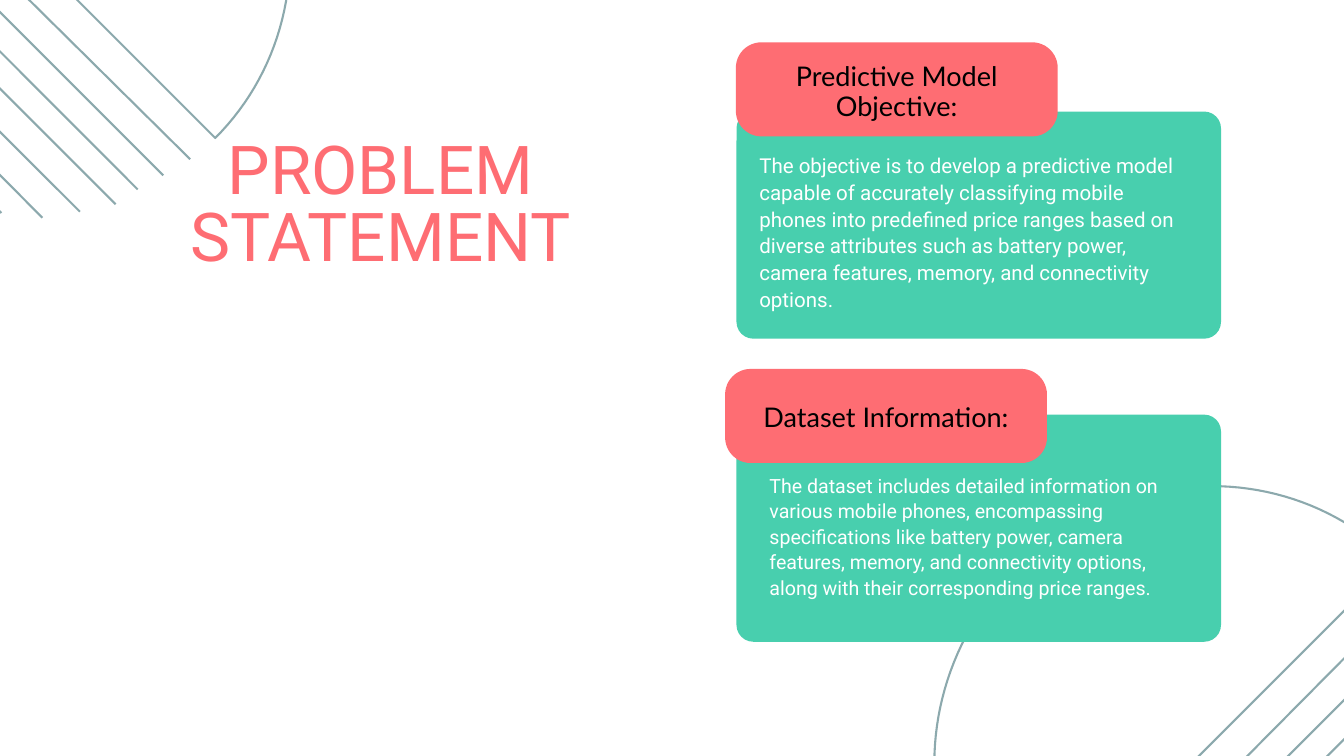
from math import cos, pi, radians, sin

from lxml import etree
from pptx import Presentation
from pptx.dml.color import RGBColor
from pptx.enum.shapes import MSO_CONNECTOR, MSO_SHAPE
from pptx.enum.text import MSO_ANCHOR, MSO_AUTO_SIZE, PP_ALIGN
from pptx.oxml.ns import qn
from pptx.util import Inches, Pt

CORAL = RGBColor(0xFE, 0x6D, 0x73)
GREEN = RGBColor(0x48, 0xCF, 0xAE)
GREY_BLUE = RGBColor(0x8C, 0xA9, 0xAD)
WHITE = RGBColor(0xFF, 0xFF, 0xFF)
BLACK = RGBColor(0x00, 0x00, 0x00)

STRAIGHT = MSO_CONNECTOR.STRAIGHT
ROUNDED = MSO_SHAPE.ROUNDED_RECTANGLE
TOP, MIDDLE = MSO_ANCHOR.TOP, MSO_ANCHOR.MIDDLE
LEFT, CENTER = PP_ALIGN.LEFT, PP_ALIGN.CENTER
NO_AUTOFIT = MSO_AUTO_SIZE.NONE

LINE_WIDTH = Pt(2.25)
CARD_LEFT, CARD_WIDTH, CARD_HEIGHT, CARD_RADIUS = 10.96, 7.21, 3.38, 0.25
TAB_WIDTH, TAB_HEIGHT, TAB_RADIUS = 4.79, 1.4, 0.38


def write_text(shape, text, font, size, spacing, color, align, anchor, margins):
    """Fill a shape with one paragraph; margins are left, top, right, bottom in inches."""
    frame = shape.text_frame
    frame.word_wrap = True
    frame.auto_size = NO_AUTOFIT
    frame.vertical_anchor = anchor
    (frame.margin_left, frame.margin_top,
     frame.margin_right, frame.margin_bottom) = [Inches(margin) for margin in margins]
    paragraph = frame.paragraphs[0]
    paragraph.alignment = align
    paragraph.line_spacing = Pt(spacing)
    run = paragraph.add_run()
    run.text = text
    run.font.name = font
    run.font.size = Pt(size)
    run.font.color.rgb = color


def add_rounded_box(left, top, width, height, radius, color):
    box = slide.shapes.add_shape(
        ROUNDED, Inches(left), Inches(top), Inches(width), Inches(height))
    box.adjustments[0] = radius / height
    box.shadow.inherit = False
    box.fill.solid()
    box.fill.fore_color.rgb = color
    box.line.fill.background()
    return box


presentation = Presentation()
presentation.slide_width = Inches(20)
presentation.slide_height = Inches(11.25)
slide = presentation.slides.add_slide(presentation.slide_layouts[5])
slide.background.fill.solid()
slide.background.fill.fore_color.rgb = WHITE

title = slide.shapes.title
title.left, title.top = Inches(0.57), Inches(2.09)
title.width, title.height = Inches(10.19), Inches(2.05)
write_text(title, "PROBLEM STATEMENT", "Roboto", 72.2, 72.2, CORAL,
           CENTER, TOP, (0, 0, 0, 0))

# Corner half-discs: middle of the flat side, and turn in degrees
HALF_CHORD, DOME_HEIGHT, DOME_STEPS = 4.05, 3.9, 90
for center_x, center_y, turn in [(17.88, 11.21, -45), (0.34, -0.81, 45)]:
    cosine, sine = cos(radians(turn)), sin(radians(turn))
    points = []
    for step in range(DOME_STEPS + 1):
        angle = pi * step / DOME_STEPS
        along, up = -HALF_CHORD * cos(angle), -DOME_HEIGHT * sin(angle)
        points.append((Inches(center_x + along * cosine - up * sine),
                       Inches(center_y + along * sine + up * cosine)))
    builder = slide.shapes.build_freeform(*points[0])
    builder.add_line_segments(points[1:], close=True)
    dome = builder.convert_to_shape()
    dome.shadow.inherit = False
    dome.fill.background()
    dome.line.color.rgb = GREY_BLUE
    dome.line.width = LINE_WIDTH

# Diagonal stripes: start x, start y, end x, end y
stripes = [
    (15.45, 14.39, 21.07, 8.72),
    (15.8, 14.62, 21.31, 9.11),
    (16.19, 14.82, 21.51, 9.49),
    (-2.84, -3.24, 2.83, 2.37),
    (-3.08, -2.9, 2.43, 2.61),
    (-3.27, -2.51, 2.05, 2.82),
    (-3.41, -2.09, 1.72, 3.04),
    (-3.57, -1.6, 1.19, 3.15),
    (-3.7, -1.12, 0.63, 3.24),
    (-3.67, -0.5, 0.02, 3.17),
]
for stripe_ends in stripes:
    stripe = slide.shapes.add_connector(STRAIGHT, *[Inches(end) for end in stripe_ends])
    stripe.line.color.rgb = GREY_BLUE
    stripe.line.width = LINE_WIDTH
    etree.SubElement(stripe._element.spPr, qn("a:effectLst"))

# Card top, tab position, heading, body box, body size and spacing, body text
cards = [
    (1.66, (10.95, 0.63), "Predictive Model Objective:",
     (11.3, 2.25, 6.46, 2.77), 22, 28.6,
     "The objective is to develop a predictive model capable of accurately "
     "classifying mobile phones into predefined price ranges based on diverse "
     "attributes such as battery power, camera features, memory, and "
     "connectivity options."),
    (6.17, (10.79, 5.49), "Dataset Information:",
     (11.45, 7.02, 6.12, 1.88), 21, 27.3,
     "The dataset includes detailed information on various mobile phones, "
     "encompassing specifications like battery power, camera features, memory, "
     "and connectivity options, along with their corresponding price ranges."),
]
for card_top, tab_corner, heading, body_box, size, spacing, body_text in cards:
    add_rounded_box(CARD_LEFT, card_top, CARD_WIDTH, CARD_HEIGHT, CARD_RADIUS, GREEN)
    tab = add_rounded_box(*tab_corner, TAB_WIDTH, TAB_HEIGHT, TAB_RADIUS, CORAL)
    write_text(tab, heading, "Lato", 29, 32.2, BLACK, CENTER, MIDDLE,
               (0.06, 0.13, 0.06, 0.06))
    body = slide.shapes.add_textbox(*[Inches(length) for length in body_box])
    write_text(body, body_text, "Roboto", size, spacing, WHITE, LEFT, TOP, (0, 0, 0, 0))

presentation.save("out.pptx")
